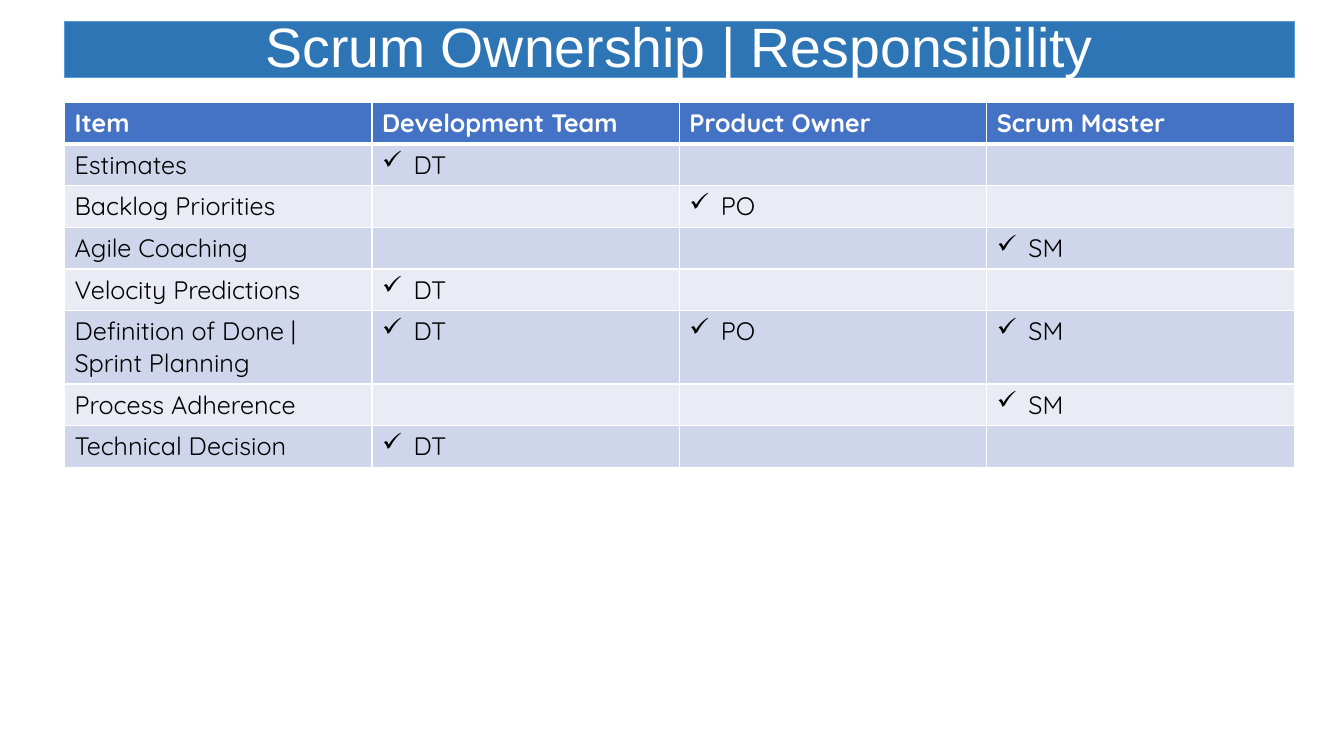
from lxml import etree
from pptx import Presentation
from pptx.dml.color import RGBColor
from pptx.enum import shapes, text
from pptx.oxml import ns
from pptx.util import Pt

COLORS = {
    "title_fill": "2E75B6", "title_line": "5B9BD5", "header": "4472C4",
    "odd": "CFD5EA", "even": "E9EBF5", "white": "FFFFFF", "black": "000000",
}
LEFT, WIDTH = 46.1, 878.4
ROW_HEIGHT = 29.7
HEADERS = ["Item", "Development Team", "Product Owner", "Scrum Master"]
OWNERS = ["DT", "PO", "SM"]
ITEMS = [
    ("Estimates", ["DT"]),
    ("Backlog Priorities", ["PO"]),
    ("Agile Coaching", ["SM"]),
    ("Velocity Predictions", ["DT"]),
    ("Definition of Done | Sprint Planning", ["DT", "PO", "SM"]),
    ("Process Adherence", ["SM"]),
    ("Technical Decision", ["DT"]),
]


def set_font(font, color, **values):
    font.color.rgb = RGBColor.from_string(COLORS[color])
    for name, value in values.items():
        setattr(font, name, value)


def add_borders(cell, widths):
    tcPr = cell._tc.get_or_add_tcPr()
    for side, width in widths.items():
        ln = etree.SubElement(tcPr, ns.qn(f"a:ln{side}"), w=str(Pt(width)))
        fill = etree.SubElement(ln, ns.qn("a:solidFill"))
        etree.SubElement(fill, ns.qn("a:srgbClr"), val=COLORS["white"])


prs = Presentation()
prs.slide_width, prs.slide_height = Pt(960), Pt(540)
s = prs.slides.add_slide(prs.slide_layouts[6])

sp = s.shapes.add_shape(shapes.MSO_SHAPE.RECTANGLE, Pt(LEFT), Pt(15.3), Pt(WIDTH), Pt(40.2))
sp.shadow.inherit = False
sp.fill.solid()
sp.fill.fore_color.rgb = RGBColor.from_string(COLORS["title_fill"])
sp.line.color.rgb = RGBColor.from_string(COLORS["title_line"])
sp.line.width = Pt(1)
tf = sp.text_frame
frame_format = {"word_wrap": True, "vertical_anchor": text.MSO_ANCHOR.MIDDLE}
for name, value in frame_format.items():
    setattr(tf, name, value)
p = tf.paragraphs[0]
p.alignment = text.PP_ALIGN.CENTER
p.line_spacing = 0.9
r = p.add_run()
r.text = "Scrum Ownership | Responsibility"
set_font(r.font, "white", name="Arial", size=Pt(39.6))

rows = [HEADERS]
for item, owners in ITEMS:
    rows.append([item] + [owner if owner in owners else "" for owner in OWNERS])

table = s.shapes.add_table(
    len(rows), len(HEADERS), Pt(LEFT), Pt(73), Pt(WIDTH), Pt(ROW_HEIGHT * len(rows))
).table
for column in table.columns:
    column.width = Pt(WIDTH / len(HEADERS))

for i, row in enumerate(rows):
    table.rows[i].height = Pt(ROW_HEIGHT)
    is_header = i == 0
    band = "header" if is_header else "odd" if i % 2 else "even"
    for j, label in enumerate(row):
        cell = table.cell(i, j)
        add_borders(cell, {"L": 1, "R": 1, "T": 3 if i == 1 else 1, "B": 3 if is_header else 1})
        cell.fill.solid()
        cell.fill.fore_color.rgb = RGBColor.from_string(COLORS[band])
        if not label:
            continue
        p = cell.text_frame.paragraphs[0]
        if not is_header and j > 0:
            pPr = p._p.get_or_add_pPr()
            pPr.set("marL", str(Pt(22.5)))
            pPr.set("indent", str(-Pt(22.5)))
            etree.SubElement(pPr, ns.qn("a:buChar"), char="✓")
        r = p.add_run()
        r.text = label
        set_font(r.font, "white" if is_header else "black",
                 name="Quicksand", size=Pt(18), bold=is_header)

prs.save("out.pptx")
